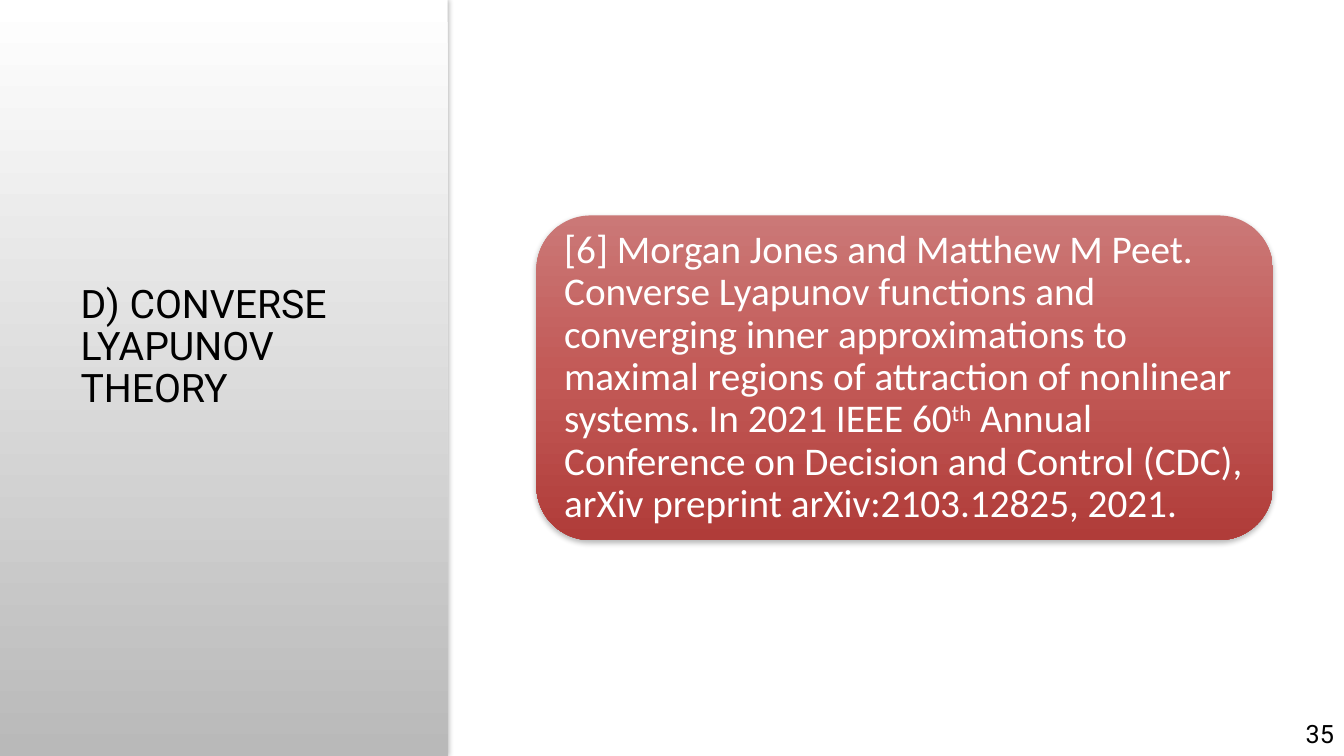
from copy import deepcopy
from lxml.etree import SubElement
from pptx import Presentation
from pptx.dml.color import RGBColor
from pptx.enum.shapes import MSO_SHAPE
from pptx.enum.text import MSO_ANCHOR, PP_ALIGN
from pptx.oxml.ns import qn
from pptx.util import Cm, Pt

TITLE = "D) CONVERSE LYAPUNOV THEORY"
REFERENCE = [
    ("[6] Morgan Jones and Matthew M Peet. Converse Lyapunov functions and "
     "converging inner approximations to maximal regions of attraction of "
     "nonlinear systems. In 2021 IEEE 60", False),
    ("th", True),
    (" Annual Conference on Decision and Control (CDC), "
     "arXiv preprint arXiv:2103.12825, 2021.", False),
]
PAGE = "35"

BLACK = RGBColor(0x00, 0x00, 0x00)
WHITE = RGBColor(0xFF, 0xFF, 0xFF)
GREY = RGBColor(0xB9, 0xB9, 0xB9)
ROSE = RGBColor(0xCB, 0x78, 0x77)
RED = RGBColor(0xC2, 0x59, 0x56)
DARK_RED = RGBColor(0xB0, 0x3C, 0x39)

WIDTH, HEIGHT = 33.87, 19.05
PANEL_WIDTH = 11.28


def fill_down(fill, colours):
    fill.gradient()
    fill.gradient_angle = 270
    first = fill.gradient_stops[0]._gs
    for _ in colours[2:]:
        first.addnext(deepcopy(first))
    for i, (stop, colour) in enumerate(zip(fill.gradient_stops, colours)):
        stop.position = i / (len(colours) - 1)
        stop.color.rgb = colour


def add_panel(s, kind, box):
    sp = s.shapes.add_shape(kind, *map(Cm, box))
    sp.shadow.inherit = False
    sp.line.fill.background()
    return sp


def add_shadow(sp, distance, angle, opacity):
    effects = sp._element.spPr.find(qn("a:effectLst"))
    shadow = SubElement(effects, qn("a:outerShdw"), blurRad=str(Pt(4)),
                        dist=str(Pt(distance)), dir=str(angle * 60000),
                        rotWithShape="0")
    colour = SubElement(shadow, qn("a:srgbClr"), val=str(BLACK))
    SubElement(colour, qn("a:alpha"), val=str(opacity * 1000))


def write(sp, runs, font, size, colour, align=PP_ALIGN.LEFT, spacing=0.9):
    tf = sp.text_frame
    tf.word_wrap = True
    tf.vertical_anchor = MSO_ANCHOR.MIDDLE
    p = tf.paragraphs[0]
    p.alignment = align
    p.line_spacing = spacing
    p.font.name = font
    p.font.size = Pt(size)
    p.font.color.rgb = colour
    for text, raised in runs:
        r = p.add_run()
        r.text = text
        if raised:
            r.font._element.set("baseline", "30000")
    return tf


def main():
    prs = Presentation()
    prs.slide_width, prs.slide_height = Cm(WIDTH), Cm(HEIGHT)
    s = prs.slides.add_slide(prs.slide_layouts[6])
    fill_down(s.background.fill, [WHITE, GREY])

    page = add_panel(s, MSO_SHAPE.RECTANGLE,
                     (PANEL_WIDTH, 0, WIDTH - PANEL_WIDTH, HEIGHT))
    page.fill.solid()
    page.fill.fore_color.rgb = WHITE

    side = add_panel(s, MSO_SHAPE.RECTANGLE, (0, 0, PANEL_WIDTH, HEIGHT))
    fill_down(side.fill, [WHITE, GREY])
    add_shadow(side, 1, 0, 30)

    title = s.shapes.add_textbox(Cm(1.78), Cm(3.66), Cm(7.9), Cm(10.21))
    write(title, [(TITLE, False)], "Roboto", 28, BLACK)

    card = add_panel(s, MSO_SHAPE.ROUNDED_RECTANGLE, (13.52, 5.43, 18.56, 8.18))
    fill_down(card.fill, [ROSE, RED, DARK_RED])
    add_shadow(card, 2, 90, 28)
    tf = write(card, REFERENCE, "Calibri", 28, WHITE)
    # The rounded corners already inset the text by 0.4 cm.
    tf.margin_left = tf.margin_right = tf.margin_top = tf.margin_bottom = Cm(0.3)

    number = s.shapes.add_textbox(Cm(31.74), Cm(17.97), Cm(2.13), Cm(1.02))
    write(number, [(PAGE, False)], "Roboto", 18, BLACK, PP_ALIGN.RIGHT, 1)

    prs.save("out.pptx")


if __name__ == "__main__":
    main()
